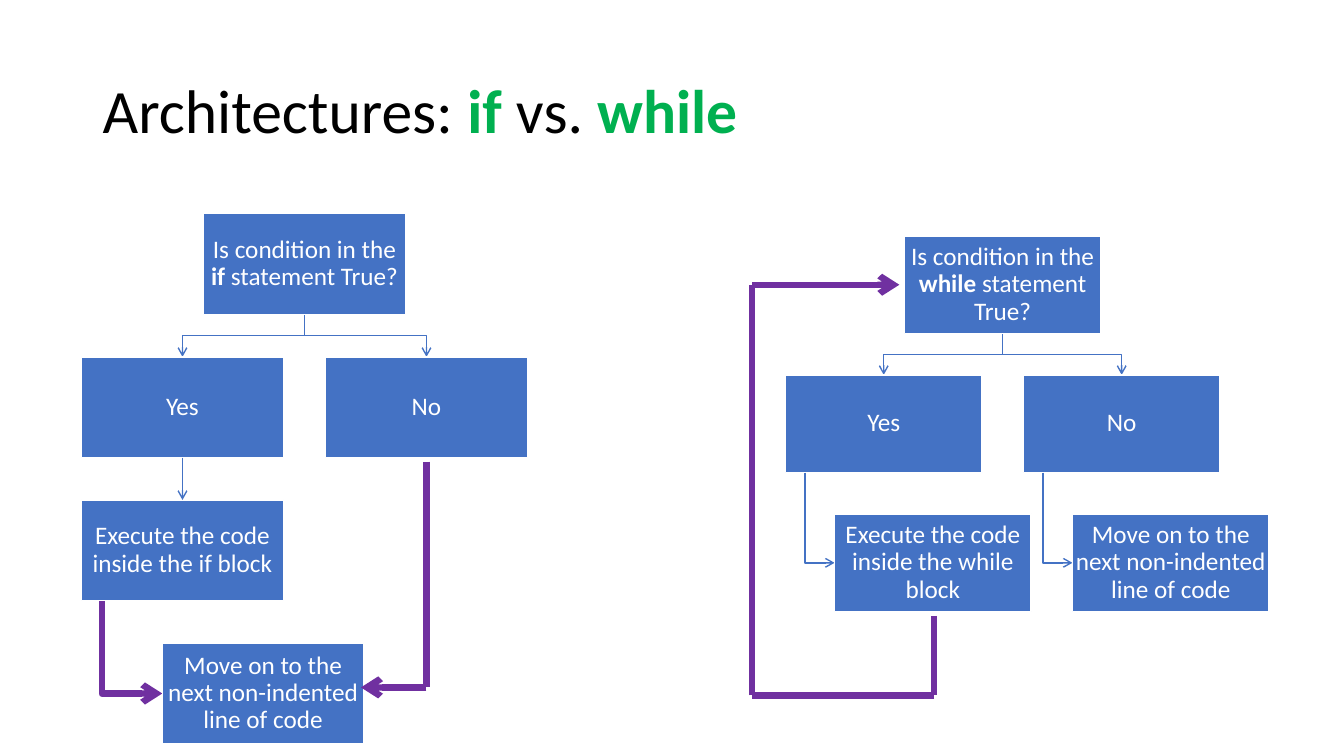
from dataclasses import dataclass
from itertools import pairwise

from lxml.etree import SubElement
from pptx import Presentation
from pptx.dml.color import RGBColor
from pptx.enum.shapes import MSO_CONNECTOR as Connector, MSO_SHAPE as Shape
from pptx.enum.text import MSO_ANCHOR as Anchor, PP_ALIGN as Align
from pptx.oxml.ns import qn
from pptx.util import Inches, Pt


@dataclass(frozen=True)
class Theme:
    font: str = "Calibri"
    title_size: int = 44
    node_size: int = 18
    thin: float = 1
    thick: float = 4.5
    black: RGBColor = RGBColor(0x00, 0x00, 0x00)
    white: RGBColor = RGBColor(0xFF, 0xFF, 0xFF)
    blue: RGBColor = RGBColor(0x44, 0x72, 0xC4)
    purple: RGBColor = RGBColor(0x70, 0x30, 0xA0)
    green: RGBColor = RGBColor(0x00, 0xB0, 0x50)


THEME = Theme()


@dataclass(frozen=True)
class Box:
    left: float
    top: float
    width: float
    height: float

    @property
    def right(self):
        return self.left + self.width

    @property
    def bottom(self):
        return self.top + self.height

    @property
    def center(self):
        return self.left + self.width / 2

    @property
    def middle(self):
        return self.top + self.height / 2

    def lengths(self):
        return [Inches(value) for value in (self.left, self.top, self.width, self.height)]


def write(para, spans, size, color, accent):
    """Add alternating plain and bold spans; the bold ones take the accent colour."""
    para.line_spacing = 0.9
    for index, text in enumerate(spans):
        strong = index % 2 == 1
        run = para.add_run()
        run.text = text
        run.font.name = THEME.font
        run.font.size = Pt(size)
        run.font.bold = strong
        run.font.color.rgb = accent if strong else color


def style_line(shape, color, width, arrow):
    shape.line.color.rgb = color
    shape.line.width = Pt(width)
    if arrow:
        SubElement(shape.line._get_or_add_ln(), qn("a:tailEnd"), type="arrow")


def add_title(page, box):
    frame = page.shapes.add_textbox(*box.lengths()).text_frame
    frame.word_wrap = True
    frame.vertical_anchor = Anchor.MIDDLE
    write(frame.paragraphs[0], ["Architectures: ", "if", " vs. ", "while"],
          THEME.title_size, THEME.black, THEME.green)


def add_node(page, box, *spans):
    node = page.shapes.add_shape(Shape.RECTANGLE, *box.lengths())
    node.shadow.inherit = False
    node.fill.solid()
    node.fill.fore_color.rgb = THEME.blue
    style_line(node, THEME.white, THEME.thin, False)
    frame = node.text_frame
    frame.word_wrap = True
    frame.vertical_anchor = Anchor.MIDDLE
    frame.margin_left = frame.margin_right = Inches(0.01)
    frame.margin_top = frame.margin_bottom = Inches(0.01)
    para = frame.paragraphs[0]
    para.alignment = Align.CENTER
    write(para, spans, THEME.node_size, THEME.white, THEME.white)
    return node


def add_elbow(page, points, color=THEME.blue, width=THEME.thin):
    """Draw one bent arrow through the points."""
    start, *rest = [(Inches(x), Inches(y)) for x, y in points]
    builder = page.shapes.build_freeform(*start)
    builder.add_line_segments(rest, close=False)
    elbow = builder.convert_to_shape()
    elbow.shadow.inherit = False
    elbow.fill.background()
    style_line(elbow, color, width, True)


def add_straight(page, start, end, color, width, arrow):
    line = page.shapes.add_connector(
        Connector.STRAIGHT, *[Inches(value) for value in (*start, *end)])
    style_line(line, color, width, arrow)
    SubElement(line._element.spPr, qn("a:effectLst"))
    return line


def add_route(page, points):
    """Draw a thick path of straight lines with an arrowhead at its end."""
    for start, end in pairwise(points):
        add_straight(page, start, end, THEME.purple, THEME.thick, end == points[-1])


def add_branch(page, box, keyword):
    """Place the question with its Yes and No; return the boxes and the Yes shape."""
    gap = 0.21 * box.width
    step = box.width + gap
    yes = Box(box.left, box.top + box.height + gap, box.width, box.height)
    no = Box(yes.left + step, yes.top, box.width, box.height)
    question = Box(box.left + step / 2, box.top, box.width, box.height)
    turn = question.bottom + gap / 2
    for answer in (no, yes):
        add_elbow(page, [(question.center, question.bottom), (question.center, turn),
                         (answer.center, turn), (answer.center, answer.top)])
    add_node(page, question, "Is condition in the ", keyword, " statement True?")
    yes_node = add_node(page, yes, "Yes")
    add_node(page, no, "No")
    return question, yes, no, yes_node


def drop(parent, child):
    """Points from under the parent's left edge to the child's left side."""
    start = parent.left + 0.1 * parent.width
    return [(start, parent.bottom), (start, child.middle), (child.left, child.middle)]


def add_if_flow(page, box):
    question, yes, no, yes_node = add_branch(page, box, "if")
    level = yes.top - question.top
    execute = Box(yes.left, yes.top + level, box.width, box.height)
    move_on = Box(yes.left + 0.4 * box.width, execute.top + level, box.width, box.height)
    add_elbow(page, drop(execute, move_on), THEME.purple, THEME.thick)
    execute_node = add_node(page, execute, "Execute the code inside the if block")
    add_node(page, move_on, "Move on to the next non-indented line of code")
    arrow = add_straight(page, (yes.center, yes.bottom), (execute.center, execute.top),
                         THEME.blue, THEME.thin, True)
    arrow.begin_connect(yes_node, 2)
    arrow.end_connect(execute_node, 0)
    arrival = move_on.middle - 0.06
    add_route(page, [(no.center, no.bottom + 0.04), (no.center, arrival),
                     (move_on.right - 0.03, arrival)])


def add_while_flow(page, box):
    question, yes, no, _ = add_branch(page, box, "while")
    level = yes.top - question.top
    actions = [(yes, "Execute the code inside the while block"),
               (no, "Move on to the next non-indented line of code")]
    for answer, text in actions:
        action = Box(answer.left + 0.25 * box.width, answer.top + level,
                     box.width, box.height)
        add_elbow(page, drop(answer, action))
        add_node(page, action, text)
    exit_x, lane_x = yes.center + 0.5, yes.left - 0.33
    exit_y = yes.bottom + level + 0.04
    add_route(page, [(exit_x, exit_y), (exit_x, exit_y + 0.79), (lane_x, exit_y + 0.79),
                     (lane_x, question.middle), (question.left - 0.05, question.middle)])


def main():
    deck = Presentation()
    deck.slide_width, deck.slide_height = Inches(13.33), Inches(7.5)
    page = deck.slides.add_slide(deck.slide_layouts[6])
    add_title(page, Box(0.92, 0.4, 11.5, 1.45))
    # Each flow is given the size of one node and its top left corner.
    add_if_flow(page, Box(0.81, 2.12, 2, 1))
    add_while_flow(page, Box(7.79, 2.34, 1.95, 0.97))
    deck.save("out.pptx")


if __name__ == "__main__":
    main()
